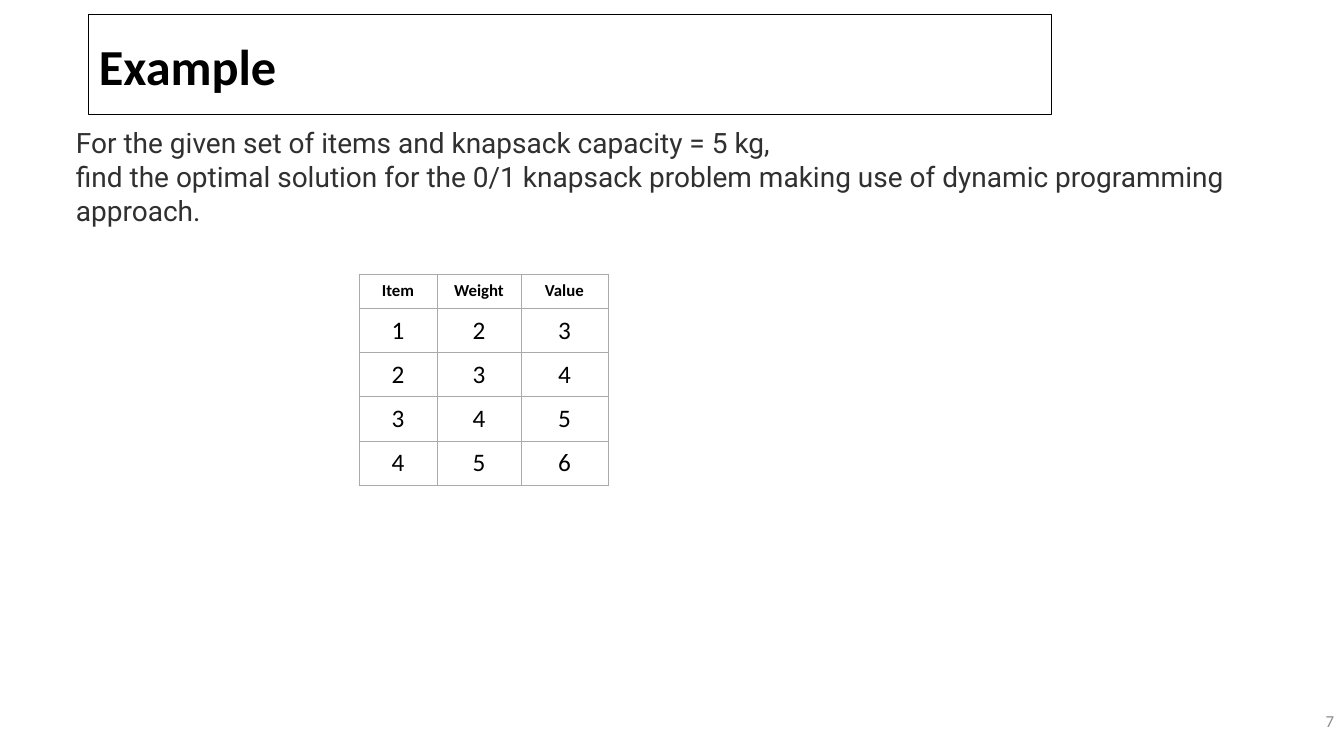
from pptx import Presentation
from pptx import util as u
from pptx.dml.color import RGBColor
from pptx.enum import shapes, text
from pptx.oxml import parse_xml
from pptx.oxml.ns import nsdecls

SLIDE_W, SLIDE_H = 1344, 756
EMU_PER_PX = 12192000 / SLIDE_W

BLACK = RGBColor(0x00, 0x00, 0x00)
WHITE = RGBColor(0xFF, 0xFF, 0xFF)
BODY_GREY = RGBColor(0x30, 0x30, 0x30)
NUMBER_GREY = RGBColor(0x8C, 0x8C, 0x8C)
BORDER_GREY = RGBColor(0xAA, 0xAA, 0xAA)

PROBLEM = [
    "For the given set of items and knapsack capacity = 5 kg,",
    "find the optimal solution for the 0/1 knapsack problem making use of "
    "dynamic programming approach.",
]
HEADINGS = ["Item", "Weight", "Value"]
ITEMS = [(1, 2, 3), (2, 3, 4), (3, 4, 5), (4, 5, 6)]
COLUMN_WIDTHS = [78, 84, 87]
HEADING_HEIGHT, ITEM_HEIGHT = 34, 44


def px(n):
    return u.Emu(round(n * EMU_PER_PX))


def box(*lengths):
    return [px(n) for n in lengths]


def add_run(p, words, size, color, font="Calibri", bold=False):
    r = p.add_run()
    r.text = words
    r.font.name = font
    r.font.size = u.Pt(size)
    r.font.bold = bold
    r.font.color.rgb = color


def write(tf, lines, align, anchor, **style):
    tf.word_wrap = True
    tf.vertical_anchor = anchor
    for i, line in enumerate(lines):
        p = tf.add_paragraph() if i else tf.paragraphs[0]
        p.alignment = align
        add_run(p, line, **style)


def add_title(s, words):
    sp = s.shapes.add_shape(shapes.MSO_SHAPE.RECTANGLE, *box(89, 15, 963, 100))
    sp.shadow.inherit = False
    sp.fill.background()
    sp.line.color.rgb = BLACK
    sp.line.width = u.Pt(0.75)
    write(sp.text_frame, [words], text.PP_ALIGN.LEFT, text.MSO_ANCHOR.MIDDLE,
          size=36, color=BLACK, bold=True)


def add_text(s, place, lines, align, anchor, **style):
    sp = s.shapes.add_textbox(*box(*place))
    write(sp.text_frame, lines, align, anchor, **style)


def border_cell(cell):
    tc_pr = cell._tc.get_or_add_tcPr()
    for i, side in enumerate(("lnL", "lnR", "lnT", "lnB")):
        tc_pr.insert(i, parse_xml(
            f'<a:{side} {nsdecls("a")} w="{u.Pt(0.6)}"><a:solidFill>'
            f'<a:srgbClr val="{BORDER_GREY}"/></a:solidFill></a:{side}>'))


def fill_cell(cell, words, size, bold):
    cell.fill.solid()
    cell.fill.fore_color.rgb = WHITE
    cell.margin_left = cell.margin_right = px(8)
    cell.margin_top = cell.margin_bottom = px(7)
    cell.vertical_anchor = text.MSO_ANCHOR.MIDDLE
    p = cell.text_frame.paragraphs[0]
    p.alignment = text.PP_ALIGN.CENTER
    add_run(p, words, size, BLACK, bold=bold)
    border_cell(cell)


def add_item_table(s, left, top):
    rows = [HEADINGS, *ITEMS]
    height = HEADING_HEIGHT + ITEM_HEIGHT * len(ITEMS)
    table = s.shapes.add_table(
        len(rows), len(HEADINGS),
        *box(left, top, sum(COLUMN_WIDTHS), height)).table
    table.horz_banding = False
    for column, width in zip(table.columns, COLUMN_WIDTHS):
        column.width = px(width)
    for i, row in enumerate(rows):
        heading = i == 0
        table.rows[i].height = px(HEADING_HEIGHT if heading else ITEM_HEIGHT)
        for j, value in enumerate(row):
            fill_cell(table.cell(i, j), str(value), 12 if heading else 18, heading)


def main():
    prs = Presentation()
    prs.slide_width, prs.slide_height = box(SLIDE_W, SLIDE_H)
    s = prs.slides.add_slide(prs.slide_layouts[6])

    # Title and slide number
    add_title(s, "Example")
    add_text(s, (1042, 701, 302, 40), ["7"], text.PP_ALIGN.RIGHT,
             text.MSO_ANCHOR.MIDDLE, size=12, color=NUMBER_GREY)

    # Items to pack
    add_item_table(s, 359, 274)

    # Problem statement
    add_text(s, (66, 121, 1204, 162), PROBLEM, text.PP_ALIGN.LEFT,
             text.MSO_ANCHOR.TOP, size=20, color=BODY_GREY, font="Roboto")

    prs.save("out.pptx")


if __name__ == "__main__":
    main()
